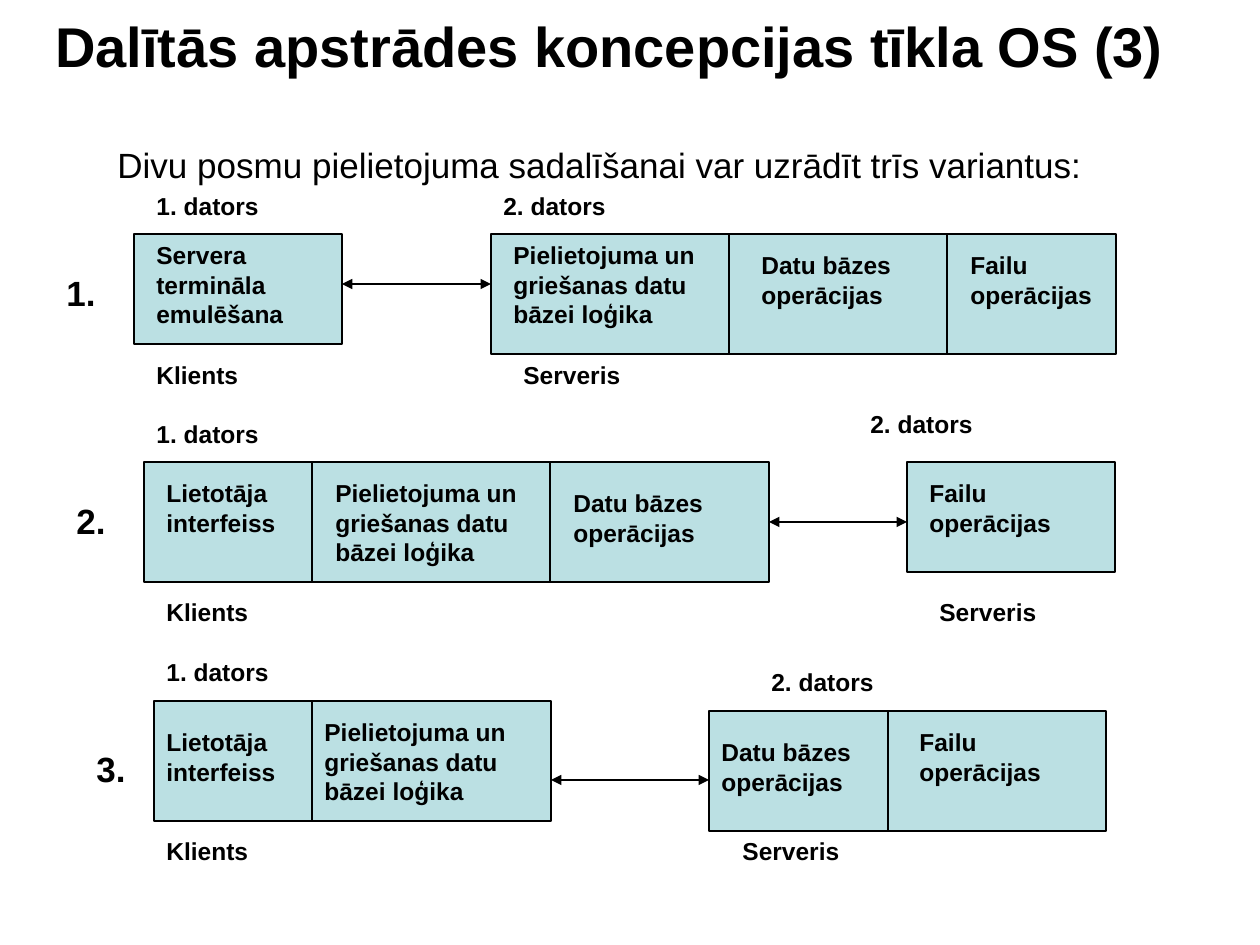
from pptx import Presentation
from pptx.dml.color import RGBColor
from pptx.enum.shapes import MSO_CONNECTOR, MSO_SHAPE
from pptx.enum.text import MSO_ANCHOR, MSO_AUTO_SIZE, PP_ALIGN
from pptx.oxml.ns import qn
from pptx.util import Emu, Pt
from lxml.etree import SubElement

TITLE = "Dalītās apstrādes koncepcijas tīkla OS (3)"
INTRO = "Divu posmu pielietojuma sadalīšanai var uzrādīt trīs variantus:"
TERMINAL = "Servera termināla emulēšana"
UI = "Lietotāja interfeiss"
LOGIC = "Pielietojuma un griešanas datu bāzei loģika"
DATABASE = "Datu bāzes operācijas"
FILES = "Failu operācijas"
LINES = {TERMINAL: 3, UI: 2, LOGIC: 3, DATABASE: 2, FILES: 2}

CLIENT = {"name": "1. dators", "role": "Klients", "name_w": 208, "role_w": 218}
SERVER = {"name": "2. dators", "role": "Serveris", "name_w": 338, "role_w": 268}

# number, its place, arrow height, then client and server:
# box, dividers, name place, role place, cells (text, left, top, width)
VARIANTS = [
    ("1.", (54, 265), 284,
     ((134, 234, 208, 110), [], (144, 185), (144, 354),
      [(TERMINAL, 144, 234, 189)]),
     ((491, 234, 625, 120), [729, 947], (491, 185), (511, 354),
      [(LOGIC, 501, 234, 228), (DATABASE, 749, 244, 189), (FILES, 958, 244, 149)])),
    ("2.", (64, 493), 522,
     ((144, 462, 625, 120), [312, 550], (144, 413), (154, 591),
      [(UI, 154, 472, 159), (LOGIC, 323, 472, 228), (DATABASE, 561, 482, 189)]),
     ((907, 462, 208, 110), [], (858, 403), (927, 591),
      [(FILES, 917, 472, 189)])),
    ("3.", (84, 741), 780,
     ((154, 701, 397, 120), [312], (154, 651), (154, 830),
      [(UI, 154, 721, 159), (LOGIC, 312, 711, 228)]),
     ((709, 711, 397, 120), [888], (759, 661), (730, 830),
      [(DATABASE, 709, 731, 189), (FILES, 907, 721, 189)])),
]


def px(n):
    return Emu(round(n * 914400 / 126))


def rgb(value):
    return RGBColor.from_string(value)


def write(tf, text, size, bold=True):
    tf.word_wrap = True
    p = tf.paragraphs[0]
    r = p.add_run()
    r.text = text
    for key, value in {"name": "Arial", "size": Pt(size), "bold": bold}.items():
        setattr(r.font, key, value)
    r.font.color.rgb = rgb("000000")
    return p


def add_text(text, x, y, w, h, size=14, bold=True):
    sp = s.shapes.add_textbox(px(x), px(y), px(w), px(h))
    write(sp.text_frame, text, size, bold)
    sp.text_frame.auto_size = MSO_AUTO_SIZE.SHAPE_TO_FIT_TEXT


def add_box(x, y, w, h):
    sp = s.shapes.add_shape(MSO_SHAPE.RECTANGLE, px(x), px(y), px(w), px(h))
    sp.shadow.inherit = False
    sp.fill.solid()
    sp.fill.fore_color.rgb = rgb("BBE0E3")
    sp.line.color.rgb = rgb("000000")
    sp.line.width = Pt(0.75)
    return sp


def add_line(x1, y1, x2, y2, arrows=False):
    line = s.shapes.add_connector(MSO_CONNECTOR.STRAIGHT, px(x1), px(y1), px(x2), px(y2))
    line.line.color.rgb = rgb("000000")
    line.line.width = Pt(0.75)
    if arrows:
        for end in ("a:headEnd", "a:tailEnd"):
            SubElement(line.line._get_or_add_ln(), qn(end), type="triangle")
    SubElement(line._element.spPr, qn("a:effectLst"))
    return line


def add_computer(kind, box, dividers, name_at, role_at, cells):
    x, y, w, h = box
    sp = add_box(*box)
    for d in dividers:
        add_line(d, y, d, y + h)
    for text, left, top, width in cells:
        add_text(text, left, top, width, 13 + 29 * LINES[text])
    add_text(kind["name"], *name_at, kind["name_w"], 43)
    add_text(kind["role"], *role_at, kind["role_w"], 43)
    return sp


prs = Presentation()
prs.slide_width, prs.slide_height = px(1260), px(945)
s = prs.slides.add_slide(prs.slide_layouts[5])

title = s.shapes.title
title.left, title.top, title.width, title.height = px(44), px(11), px(1132), px(69)
tf = title.text_frame
for key, value in {"margin_left": 0, "margin_right": 0, "vertical_anchor": MSO_ANCHOR.MIDDLE,
                   "auto_size": MSO_AUTO_SIZE.NONE}.items():
    setattr(tf, key, value)
write(tf, TITLE, 32).alignment = PP_ALIGN.CENTER
add_text(INTRO, 105, 137, 1081, 53, 20, False)

for number, number_at, arrow_y, client, server in VARIANTS:
    client_sp = add_computer(CLIENT, *client)
    server_sp = add_computer(SERVER, *server)
    (cx, cy, cw, ch), (sx, sy, sw, sh) = client[0], server[0]
    arrow = add_line(cx + cw, arrow_y, sx, arrow_y, True)
    if arrow_y == cy + ch / 2:
        arrow.begin_connect(client_sp, 3)
    if arrow_y == sy + sh / 2:
        arrow.end_connect(server_sp, 1)
    add_text(number, *number_at, 69, 55, 20)

prs.save("out.pptx")
